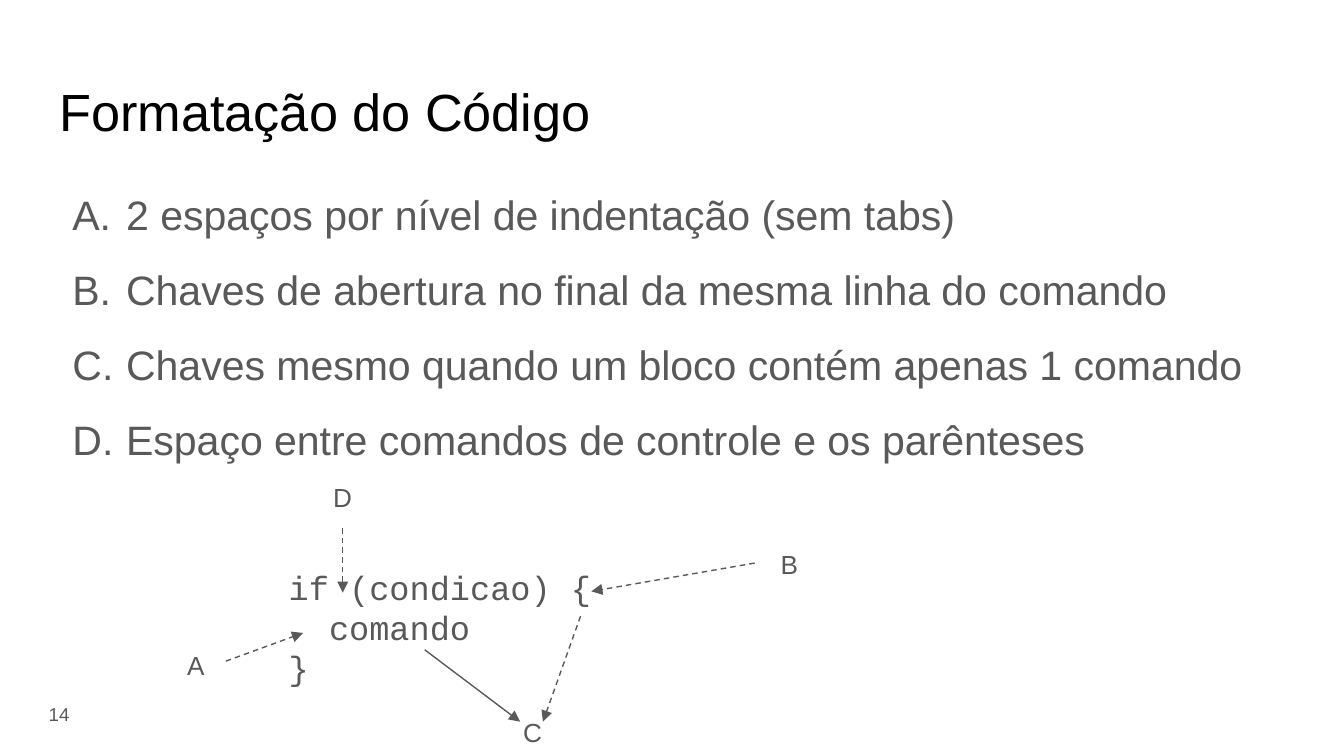
from lxml.etree import SubElement
from pptx import Presentation
from pptx.dml.color import RGBColor
from pptx.enum.dml import MSO_LINE
from pptx.enum.shapes import MSO_CONNECTOR
from pptx.enum.text import MSO_ANCHOR, PP_ALIGN
from pptx.oxml.ns import qn
from pptx.util import Pt

PX = 4572  # EMU per px, 200 px to the inch
WIDTH, HEIGHT = 2000, 1125
INSET = 20
BLACK = RGBColor(0x00, 0x00, 0x00)
GREY = RGBColor(0x59, 0x59, 0x59)

TITLE = "Formatação do Código"
NUMBER = "14"
RULES = [
    "2 espaços por nível de indentação (sem tabs)",
    "Chaves de abertura no final da mesma linha do comando",
    "Chaves mesmo quando um bloco contém apenas 1 comando",
    "Espaço entre comandos de controle e os parênteses",
]
CODE = ["if (condicao) {", "  comando", "}"]
LABELS = {"A": (259, 947), "B": (1142, 796), "C": (759, 1046), "D": (476, 696)}
LABEL_SIZE = (72, 88)
# start, end, dashed
ARROWS = [
    ((336, 984), (451, 942), True),
    ((1123, 838), (880, 880), True),
    ((510, 786), (510, 882), True),
    ((632, 967), (774, 1074), False),
    ((864, 917), (808, 1074), True),
]


def emu(*lengths):
    return [length * PX for length in lengths]


def add_text(slide, box, lines, size, color=GREY, font="Arial"):
    frame = slide.shapes.add_textbox(*emu(*box)).text_frame
    frame.word_wrap = True
    for side in ("left", "top", "right", "bottom"):
        setattr(frame, f"margin_{side}", INSET * PX)
    style = {"size": Pt(size), "name": font}
    for i, line in enumerate(lines):
        para = frame.paragraphs[0] if i == 0 else frame.add_paragraph()
        run = para.add_run()
        run.text = line
        for key, value in style.items():
            setattr(run.font, key, value)
        run.font.color.rgb = color
    return frame


def letter_list(frame):
    """Number the paragraphs A., B., C. with a hanging indent."""
    for i, para in enumerate(frame.paragraphs):
        props = para._p.get_or_add_pPr()
        props.set("marL", str(100 * PX))
        props.set("indent", str(-80 * PX))
        SubElement(props, qn("a:buAutoNum"), type="alphaUcPeriod")
        para.line_spacing = 1.14
        if i:
            para.space_before = Pt(10)


def add_arrow(slide, start, end, dashed):
    arrow = slide.shapes.add_connector(
        MSO_CONNECTOR.STRAIGHT, *emu(*start, *end))
    arrow.line.width = Pt(0.75)
    arrow.line.color.rgb = GREY
    if dashed:
        arrow.line.dash_style = MSO_LINE.DASH
    SubElement(arrow.line._get_or_add_ln(), qn("a:tailEnd"), type="triangle")
    SubElement(arrow._element.spPr, qn("a:effectLst"))


def main():
    deck = Presentation()
    deck.slide_width, deck.slide_height = emu(WIDTH, HEIGHT)
    slide = deck.slides.add_slide(deck.slide_layouts[6])

    add_text(slide, (69, 98, 1864, 126), [TITLE], 28, BLACK)
    number = add_text(slide, (3, 1020, 120, 86), [NUMBER], 10)
    number.vertical_anchor = MSO_ANCHOR.MIDDLE
    number.paragraphs[0].alignment = PP_ALIGN.RIGHT
    letter_list(add_text(slide, (68, 252, 1916, 358), RULES, 22))
    add_text(slide, (410, 823, 560, 222), CODE, 18, font="Courier New")

    for letter, place in LABELS.items():
        add_text(slide, place + LABEL_SIZE, [letter], 14)
    for arrow in ARROWS:
        add_arrow(slide, *arrow)
    deck.save("out.pptx")


if __name__ == "__main__":
    main()
